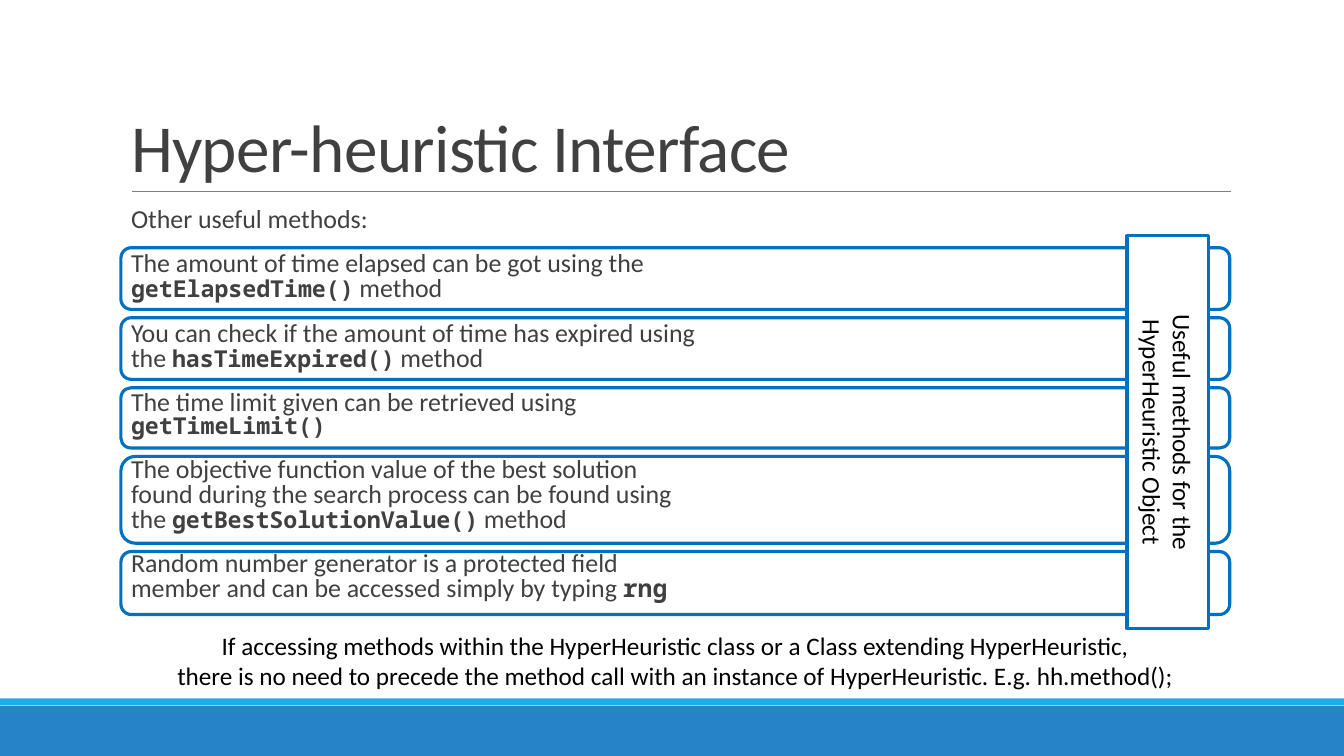
"""Build the Hyper-heuristic Interface slide."""
import lxml.etree
import pptx
import pptx.dml.color
import pptx.enum.shapes
import pptx.enum.text
import pptx.oxml.ns
import pptx.util

Pt = pptx.util.Pt
SHAPES = pptx.enum.shapes.MSO_AUTO_SHAPE_TYPE
ALIGN = pptx.enum.text.PP_ALIGN
ANCHOR = pptx.enum.text.MSO_ANCHOR

LEFT, WIDTH = 86.4, 792
CARD_TOP, CARD_GAP = 177, 6
CARD_HEIGHTS = [44, 44, 43, 62, 45]
METHODS = [
    [("Other useful methods:", 0)],
    [("The amount of time elapsed can be got using the ", 0),
     ("getElapsedTime()", 16.6), (" method", 0)],
    [("You can check if the amount of time has expired using the ", 0),
     ("hasTimeExpired()", 16.6), (" method", 0)],
    [("The time limit given can be retrieved using ", 0),
     ("getTimeLimit()", 16.6)],
    [("The objective function value of the best solution found during the "
      "search process can be found using the ", 0),
     ("getBestSolutionValue()", 16.6), (" method", 0)],
    [("Random number generator is a protected field member and can be "
      "accessed simply by typing ", 0), ("rng", 17.6)],
]
ACCESS_NOTE = (
    "If accessing methods within the HyperHeuristic class or a Class extending HyperHeuristic,\n"
    "there is no need to precede the method call with an instance of HyperHeuristic. "
    "E.g. hh.method();"
)


def colour(value):
    """Turn a hex string into a colour."""
    return pptx.dml.color.RGBColor.from_string(value)


class SlideBuilder:
    """Hold the style and the current slide."""

    font, code_font = "Calibri", "Noto Sans Mono"
    ink, grey, outline, accent = "000000", "404040", "0070C0", "1CADE4"

    def __init__(self, slide):
        """Keep the slide to draw on."""
        self.slide = slide

    def format_run(self, run, size, ink, code=False):
        """Apply the text style to a run."""
        run.font.name = self.code_font if code else self.font
        run.font.size = Pt(size)
        run.font.bold = code
        run.font.color.rgb = colour(ink)

    def centred_text(self, text_frame, text):
        """Fill a frame with centred text."""
        text_frame.text = text
        for paragraph in text_frame.paragraphs:
            paragraph.alignment = ALIGN.CENTER
            for run in paragraph.runs:
                self.format_run(run, 18, self.ink)

    def box(self, kind, left, top, width, height, fill="FFFFFF", line=None):
        """Draw a filled shape with an optional outline."""
        shape = self.slide.shapes.add_shape(
            kind, Pt(left), Pt(top), Pt(width), Pt(height))
        shape.shadow.inherit = False
        shape.fill.solid()
        shape.fill.fore_color.rgb = colour(fill)
        if line:
            shape.line.color.rgb = colour(line)
            shape.line.width = Pt(2.25)
        else:
            shape.line.fill.background()
        return shape

    def rule(self, left, right, top):
        """Draw a thin horizontal line."""
        connector = self.slide.shapes.add_connector(
            pptx.enum.shapes.MSO_CONNECTOR.STRAIGHT,
            Pt(left), Pt(top), Pt(right), Pt(top))
        connector.line.color.rgb = colour("808080")
        connector.line.width = Pt(0.5)
        lxml.etree.SubElement(
            connector._element.spPr, pptx.oxml.ns.qn("a:effectLst"))

    def placeholder(self, index, left, top, width, height, anchor):
        """Place a template placeholder in front of the shapes so far."""
        shape = self.slide.placeholders[index]
        shape.left, shape.top = Pt(left), Pt(top)
        shape.width, shape.height = Pt(width), Pt(height)
        self.slide.shapes._spTree.append(shape._element)
        text_frame = shape.text_frame
        text_frame.word_wrap = True
        text_frame.auto_size = pptx.enum.text.MSO_AUTO_SIZE.NONE
        text_frame.vertical_anchor = anchor
        return text_frame

    def title(self, text):
        """Write the slide title."""
        text_frame = self.placeholder(0, LEFT, 22.3, WIDTH, 114.5, ANCHOR.BOTTOM)
        text_frame.text = text
        paragraph = text_frame.paragraphs[0]
        paragraph.alignment = ALIGN.LEFT
        paragraph.line_spacing = 0.85
        run = paragraph.runs[0]
        self.format_run(run, 48, self.grey)
        run.font._element.set("spc", "-50")

    def bullet(self, paragraph):
        """Give a paragraph a blank bullet with a hanging indent."""
        properties = paragraph._p.get_or_add_pPr()
        properties.set("marL", str(Pt(7.2)))
        properties.set("indent", str(-Pt(7.2)))
        bullet_colour = lxml.etree.SubElement(
            properties, pptx.oxml.ns.qn("a:buClr"))
        lxml.etree.SubElement(
            bullet_colour, pptx.oxml.ns.qn("a:srgbClr"), val=self.accent)
        lxml.etree.SubElement(properties, pptx.oxml.ns.qn("a:buChar"), char=" ")

    def body(self, items):
        """Write the list of methods."""
        text_frame = self.placeholder(1, LEFT, 145.4, 415.4, 316.8, ANCHOR.TOP)
        text_frame.margin_left = text_frame.margin_right = 0
        text_frame.margin_top = text_frame.margin_bottom = Pt(3.6)
        for number, parts in enumerate(items):
            paragraph = text_frame.add_paragraph() if number else text_frame.paragraphs[0]
            self.bullet(paragraph)
            paragraph.line_spacing = 0.8
            paragraph.space_before = Pt(12 if number else 0)
            paragraph.space_after = Pt(2)
            for text, code_size in parts:
                run = paragraph.add_run()
                run.text = text
                self.format_run(run, code_size or 18.5, self.grey, bool(code_size))

    def side_label(self, text):
        """Draw the outlined box with text turned downwards."""
        shape = self.box(SHAPES.RECTANGLE, 805, 168.5, 58.3, 280.8, line=self.outline)
        text_frame = shape.text_frame
        text_frame.word_wrap = True
        text_frame.vertical_anchor = ANCHOR.MIDDLE
        text_frame._txBody.bodyPr.set("vert", "vert")
        self.centred_text(text_frame, text)

    def note(self, text):
        """Write the centred note under the list."""
        shape = self.slide.shapes.add_textbox(Pt(117.4), Pt(446.4), Pt(730), Pt(51))
        shape.text_frame.word_wrap = False
        self.centred_text(shape.text_frame, text)


def main():
    """Create and save the presentation."""
    presentation = pptx.Presentation()
    presentation.slide_width, presentation.slide_height = Pt(960), Pt(540)
    slide = presentation.slides.add_slide(presentation.slide_layouts[1])
    builder = SlideBuilder(slide)
    builder.box(SHAPES.RECTANGLE, 0, 504, 960, 36, fill="2683C6")
    builder.box(SHAPES.RECTANGLE, 0, 498.8, 960, 5, fill=builder.accent)
    builder.rule(94.3, 879, 136.8)
    top = CARD_TOP
    for height in CARD_HEIGHTS:
        builder.box(SHAPES.ROUNDED_RECTANGLE, LEFT, top, WIDTH, height, line=builder.outline)
        top += height + CARD_GAP
    builder.title("Hyper-heuristic Interface")
    builder.body(METHODS)
    builder.side_label("Useful methods for the HyperHeuristic Object")
    builder.note(ACCESS_NOTE)
    presentation.save("out.pptx")


if __name__ == "__main__":
    main()
